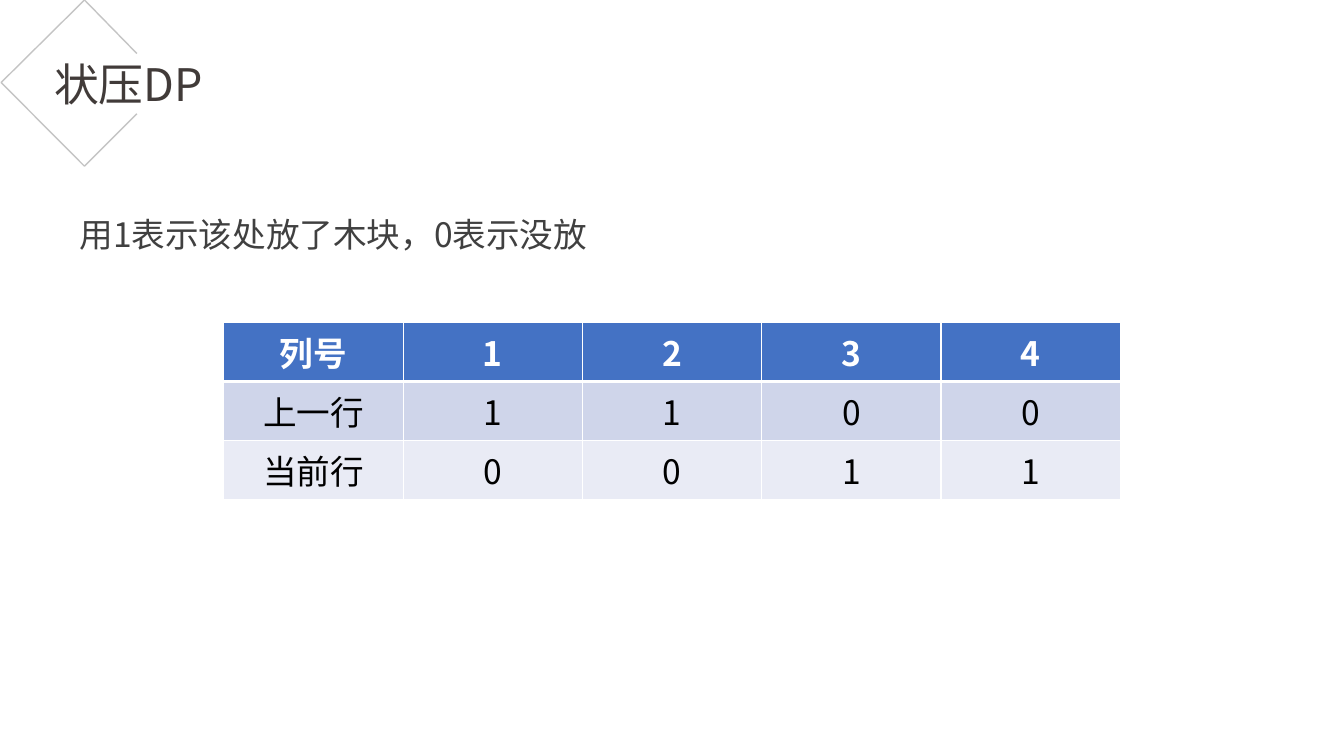
import dataclasses

import pptx
import pptx.dml.color
import pptx.enum.text
import pptx.oxml.ns
import pptx.util
from lxml import etree

Cm = pptx.util.Cm
Pt = pptx.util.Pt
qn = pptx.oxml.ns.qn
Align = pptx.enum.text.PP_ALIGN

FONT = "Noto Sans CJK SC"
COLORS = {
    "title": "413B39",
    "body": "404040",
    "diamond": "808080",
    "white": "FFFFFF",
    "black": "000000",
    "header": "4472C4",
    "dark_band": "CFD5EA",
    "light_band": "E9EBF5",
}
DIAMOND_POINTS = [(3.45, 1.35), (2.13, 0), (0.03, 2.08), (2.13, 4.19), (3.45, 2.87)]
COLUMN_WIDTH = 4.52
ROW_HEIGHT = 1.46


@dataclasses.dataclass(frozen=True)
class Heading:
    text: str
    left: float
    top: float
    width: float
    height: float
    size: int
    color: str
    align: Align
    wrap: bool


@dataclasses.dataclass(frozen=True)
class BoardRow:
    values: tuple[str, ...]
    fill: str
    color: str = "black"
    bold: bool = False
    bottom_line: float = 1


HEADINGS = [
    Heading("状压DP", 0.94, 1.3, 4.6, 1.63, 32, "title", Align.CENTER, False),
    Heading("用1表示该处放了木块，0表示没放", 1.75, 5.26, 30.12, 1.27, 24, "body", Align.LEFT, True),
]
BOARD = [
    BoardRow(("列号", "1", "2", "3", "4"), "header", "white", True, 3),
    BoardRow(("上一行", "1", "1", "0", "0"), "dark_band"),
    BoardRow(("当前行", "0", "0", "1", "1"), "light_band"),
]


def rgb(name: str) -> pptx.dml.color.RGBColor:
    return pptx.dml.color.RGBColor.from_string(COLORS[name])


def style_paragraph(paragraph, size: int, color: str, align: Align, bold: bool = False) -> None:
    paragraph.alignment = align
    font = paragraph.font
    font.size = Pt(size)
    font.bold = bold
    font.color.rgb = rgb(color)
    font.name = FONT
    defaults = paragraph._p.pPr.find(qn("a:defRPr"))
    etree.SubElement(defaults, qn("a:ea"), typeface=FONT)


def fill_placeholder(placeholder, heading: Heading) -> None:
    placeholder.left, placeholder.top = Cm(heading.left), Cm(heading.top)
    placeholder.width, placeholder.height = Cm(heading.width), Cm(heading.height)
    frame = placeholder.text_frame
    frame.text = heading.text
    frame.word_wrap = heading.wrap
    frame.auto_size = pptx.enum.text.MSO_AUTO_SIZE.NONE
    frame.vertical_anchor = pptx.enum.text.MSO_ANCHOR.MIDDLE
    paragraph = frame.paragraphs[0]
    properties = paragraph._p.get_or_add_pPr()
    properties.set("marL", "0")
    properties.set("indent", "0")
    etree.SubElement(properties, qn("a:buNone"))
    paragraph.space_before = Pt(0)
    style_paragraph(paragraph, heading.size, heading.color, heading.align)


def draw_diamond(slide) -> None:
    """Draw the diamond outline, open on its right side behind the title."""
    start, *rest = [(Cm(x), Cm(y)) for x, y in DIAMOND_POINTS]
    builder = slide.shapes.build_freeform(*start)
    builder.add_line_segments(rest, close=False)
    diamond = builder.convert_to_shape()
    diamond.shadow.inherit = False
    diamond.fill.background()
    diamond.line.color.rgb = rgb("diamond")
    diamond.line.width = Pt(1)
    line_color = diamond.line._ln.find(".//" + qn("a:srgbClr"))
    etree.SubElement(line_color, qn("a:alpha"), val="45000")


def set_borders(cell, widths: dict[str, float]) -> None:
    """Add white borders; they must precede the cell fill in the XML."""
    properties = cell._tc.get_or_add_tcPr()
    for side, width in widths.items():
        border = etree.SubElement(properties, qn(f"a:{side}"), w=str(Pt(width)))
        solid = etree.SubElement(border, qn("a:solidFill"))
        etree.SubElement(solid, qn("a:srgbClr"), val=COLORS["white"])


def draw_board(slide, rows: list[BoardRow]) -> None:
    column_count = len(rows[0].values)
    board = slide.shapes.add_table(
        len(rows), column_count, Cm(5.64), Cm(8.13),
        Cm(COLUMN_WIDTH * column_count), Cm(ROW_HEIGHT * len(rows)),
    ).table
    top_line = 1
    for row_index, row in enumerate(rows):
        for column_index, value in enumerate(row.values):
            cell = board.cell(row_index, column_index)
            cell.text = value
            style_paragraph(cell.text_frame.paragraphs[0], 24, row.color, Align.CENTER, row.bold)
            set_borders(cell, {"lnL": 1, "lnR": 1, "lnT": top_line, "lnB": row.bottom_line})
            cell.fill.solid()
            cell.fill.fore_color.rgb = rgb(row.fill)
        top_line = row.bottom_line


def main() -> None:
    presentation = pptx.Presentation()
    presentation.slide_width, presentation.slide_height = Cm(33.87), Cm(19.05)
    slide = presentation.slides.add_slide(presentation.slide_layouts[1])
    for placeholder, heading in zip(slide.placeholders, HEADINGS):
        fill_placeholder(placeholder, heading)
    draw_diamond(slide)
    draw_board(slide, BOARD)
    presentation.save("out.pptx")


if __name__ == "__main__":
    main()
